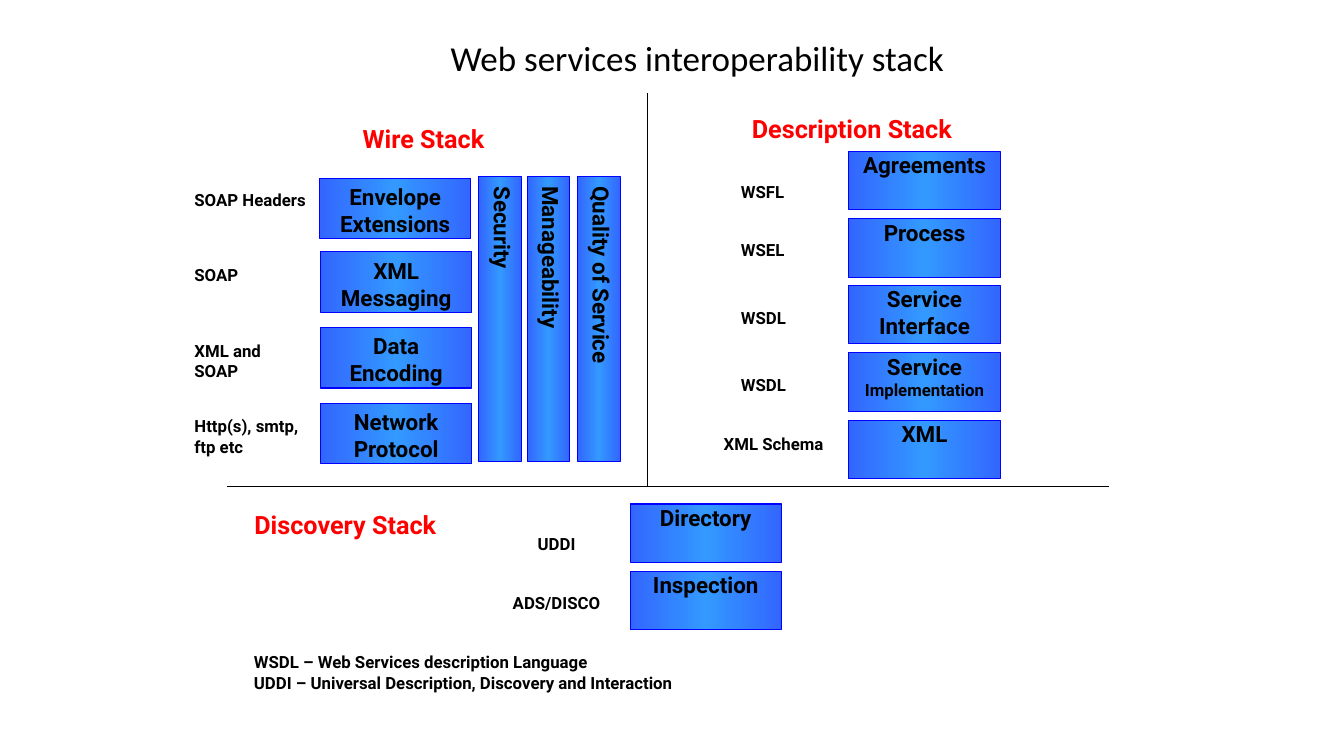
"""Build the web services interoperability stack slide."""
from copy import deepcopy
from dataclasses import dataclass

from pptx import Presentation
from pptx.dml.color import RGBColor
from pptx.enum.shapes import MSO_CONNECTOR as CONNECTOR, MSO_SHAPE as SHAPE
from pptx.enum.text import MSO_ANCHOR as ANCHOR, MSO_AUTO_SIZE as AUTO_SIZE, PP_ALIGN as ALIGN
from pptx.oxml.ns import qn
from pptx.oxml.xmlchemy import OxmlElement
from pptx.util import Pt

PX = 9144
SLIDE_SIZE = (1333, 750)


@dataclass(frozen=True)
class Theme:
    title_font: str = "Calibri"
    font: str = "Roboto"
    ink: str = "000000"
    heading: str = "FF0000"
    border: str = "0000FF"
    gradient: tuple = ("3366FF", "3399FF", "3366FF")
    title_size: int = 25
    heading_size: int = 18
    box_size: int = 16
    label_size: int = 12
    line_width: float = 0.75


THEME = Theme()

TITLE = ("Web services interoperability stack", (358, 33, 667, 50))

WIRE_HEADING = ("Wire Stack", (342, 117, 156, 40))
WIRE_ROWS = [
    ("SOAP Headers", "Envelope\nExtensions", 317, 177),
    ("SOAP", "XML\nMessaging", 318, 250),
    ("XML and\nSOAP", "Data\nEncoding", 318, 325),
    ("Http(s), smtp,\nftp etc", "Network\nProtocol", 318, 400),
]
WIRE_COLUMNS = [("Security", 475), ("Manageability", 523), ("Quality of Service", 573)]
WIRE_LABEL_TOP, WIRE_PITCH = 183, 75

DESCRIPTION_HEADING = ("Description Stack", (725, 108, 240, 40))
DESCRIPTION_ROWS = [
    ("WSFL", "Agreements", (725, 175, 108, 30)),
    ("WSEL", "Process", (725, 233, 100, 30)),
    ("WSDL", "Service\nInterface", (725, 300, 108, 30)),
    ("WSDL", "Service\nImplementation", (725, 367, 108, 30)),
    ("XML Schema", "XML", (708, 425, 133, 30)),
]

DISCOVERY_HEADING = ("Discovery Stack", (233, 500, 219, 40))
DISCOVERY_ROWS = [
    ("UDDI", "Directory", (519, 525, 66, 30)),
    ("ADS/DISCO", "Inspection", (492, 583, 120, 30)),
]
STACK_PITCH = 200 / 3

FOOTNOTE = (
    "WSDL – Web Services description Language\n"
    "UDDI – Universal Description, Discovery and Interaction",
    (242, 642, 496, 71),
)


def emu(*lengths):
    return [round(length * PX) for length in lengths]


def rgb(value):
    return RGBColor.from_string(value)


def write(text_frame, text, size, color=THEME.ink, align=ALIGN.CENTER, font=THEME.font, bold=True):
    text_frame.text = text
    for paragraph in text_frame.paragraphs:
        paragraph.alignment = align
        for run in paragraph.runs:
            run.font.name = font
            run.font.size = Pt(size)
            run.font.bold = bold
            run.font.color.rgb = rgb(color)


def add_text(shapes, text, place, size=THEME.label_size, color=THEME.ink,
             align=ALIGN.LEFT, wrap=False):
    text_frame = shapes.add_textbox(*emu(*place)).text_frame
    text_frame.word_wrap = wrap
    text_frame.auto_size = AUTO_SIZE.SHAPE_TO_FIT_TEXT
    write(text_frame, text, size, color, align)


def add_heading(shapes, heading):
    add_text(shapes, *heading, THEME.heading_size, THEME.heading, ALIGN.CENTER)


def fill_gradient(shape):
    shape.fill.gradient()
    shape.fill.gradient_angle = 0
    stop_list = shape._element.spPr.find(qn("a:gradFill")).find(qn("a:gsLst"))
    stop_list.insert(1, deepcopy(stop_list[0]))
    last = len(THEME.gradient) - 1
    for index, stop in enumerate(shape.fill.gradient_stops):
        stop.position = index / last
        stop.color.rgb = rgb(THEME.gradient[index])


def add_box(shapes, text, place, top_inset=5, vertical=False):
    shape = shapes.add_shape(SHAPE.RECTANGLE, *emu(*place))
    shape.shadow.inherit = False
    fill_gradient(shape)
    shape.line.color.rgb = rgb(THEME.border)
    shape.line.width = Pt(THEME.line_width)
    text_frame = shape.text_frame
    text_frame.margin_left, text_frame.margin_top = emu(5, top_inset)
    text_frame.margin_right, text_frame.margin_bottom = emu(5, 5)
    text_frame.vertical_anchor = ANCHOR.TOP
    text_frame.word_wrap = False
    write(text_frame, text, THEME.box_size)
    if vertical:
        text_frame._txBody.bodyPr.set("vert", "eaVert")
    return shape


def add_line(shapes, *ends):
    line = shapes.add_connector(CONNECTOR.STRAIGHT, *emu(*ends))
    line.line.color.rgb = rgb(THEME.ink)
    line.line.width = Pt(THEME.line_width)
    line._element.spPr.append(OxmlElement("a:effectLst"))


def add_stack(shapes, rows, left, top, label_align, wrap):
    for index, (label, name, label_place) in enumerate(rows):
        box_top = top + round(index * STACK_PITCH)
        box = add_box(shapes, name, (left, box_top, 150, 58), top_inset=0)
        if name.endswith("Implementation"):
            box.text_frame.paragraphs[-1].runs[0].font.size = Pt(THEME.label_size)
        add_text(shapes, label, label_place, align=label_align, wrap=wrap)


def add_title(slide):
    text, place = TITLE
    title = slide.shapes.title
    title.left, title.top, title.width, title.height = emu(*place)
    text_frame = title.text_frame
    text_frame.word_wrap = True
    text_frame.auto_size = AUTO_SIZE.NONE
    text_frame.vertical_anchor = ANCHOR.BOTTOM
    write(text_frame, text, THEME.title_size, font=THEME.title_font, bold=False)
    text_frame.paragraphs[0].line_spacing = 0.9


def add_wire_stack(shapes):
    add_heading(shapes, WIRE_HEADING)
    add_line(shapes, 642, 483, 642, 92)
    for index, (label, name, left, top) in enumerate(WIRE_ROWS):
        add_box(shapes, name, (left, top, 150, 60))
        height = 50 if "\n" in label else 30
        label_top = WIRE_LABEL_TOP + index * WIRE_PITCH
        add_text(shapes, label, (183, label_top, 142, height), wrap=True)
    for name, left in WIRE_COLUMNS:
        add_box(shapes, name, (left, 175, 42, 283), vertical=True)


def add_description_stack(shapes):
    add_line(shapes, 225, 483, 1100, 483)
    add_stack(shapes, DESCRIPTION_ROWS, 842, 150, ALIGN.LEFT, True)
    add_heading(shapes, DESCRIPTION_HEADING)


def add_discovery_stack(shapes):
    add_heading(shapes, DISCOVERY_HEADING)
    add_stack(shapes, DISCOVERY_ROWS, 625, 500, ALIGN.CENTER, False)


def main():
    presentation = Presentation()
    presentation.slide_width, presentation.slide_height = emu(*SLIDE_SIZE)
    slide = presentation.slides.add_slide(presentation.slide_layouts[5])
    add_title(slide)
    for add_part in (add_wire_stack, add_description_stack, add_discovery_stack):
        add_part(slide.shapes.add_group_shape().shapes)
    add_text(slide.shapes, *FOOTNOTE)
    presentation.save("out.pptx")


if __name__ == "__main__":
    main()
